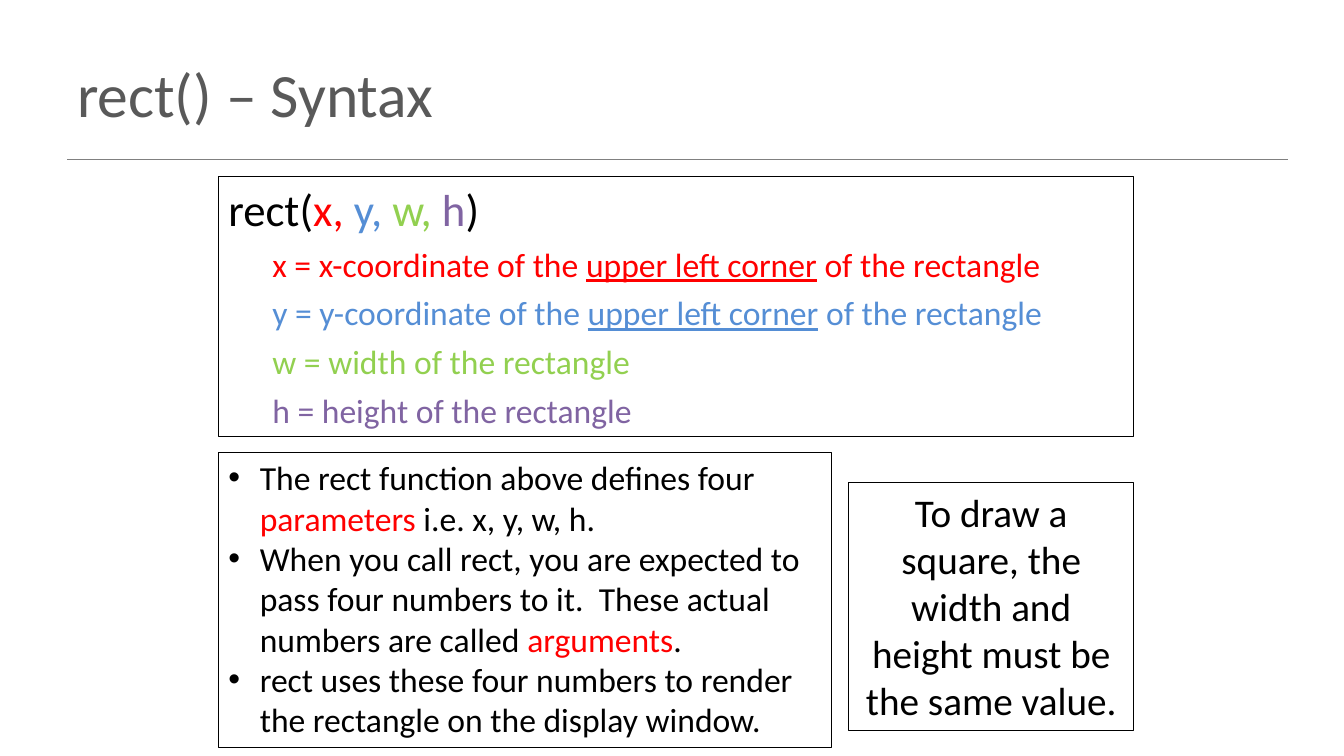
from dataclasses import dataclass

from lxml import etree
from pptx import Presentation
from pptx import util as u
from pptx.dml import color
from pptx.enum import shapes, text
from pptx.oxml import ns

Pt = u.Pt


@dataclass(frozen=True)
class Theme:
    font: str = "Calibri"
    ink: str = "000000"
    heading: str = "595959"
    rule: str = "808080"
    red: str = "FF0000"
    blue: str = "558ED5"
    green: str = "92D050"
    purple: str = "8064A2"
    title_size: int = 44
    syntax_size: int = 32
    square_size: int = 28
    detail_size: int = 24


THEME = Theme()


def apply_format(target, values):
    for attribute, value in values.items():
        setattr(target, attribute, value)


def add_paragraph(frame, runs, size, first=False, indent=0, bullet=None, **layout):
    """Each run is (words, colour) or (words, colour, underlined)."""
    paragraph = frame.paragraphs[0] if first else frame.add_paragraph()
    apply_format(paragraph, layout)
    properties = paragraph._p.get_or_add_pPr()
    if indent:
        properties.set("marL", str(Pt(indent)))
        properties.set("indent", str(-Pt(indent) if bullet else 0))
    if bullet:
        etree.SubElement(properties, ns.qn("a:buFont"), typeface="Arial")
        etree.SubElement(properties, ns.qn("a:buChar"), char=bullet)
    for words, colour, *underlined in runs:
        run = paragraph.add_run()
        run.text = words
        apply_format(run.font, {"name": THEME.font, "size": Pt(size),
                                "underline": bool(underlined)})
        run.font.color.rgb = color.RGBColor.from_string(colour)


def add_panel(slide, left, top, width, height):
    """Outlined, unfilled box; returns its text frame."""
    panel = slide.shapes.add_shape(shapes.MSO_SHAPE.RECTANGLE, Pt(left), Pt(top),
                                   Pt(width), Pt(height))
    panel.shadow.inherit = False
    panel.fill.background()
    panel.line.color.rgb = color.RGBColor.from_string(THEME.ink)
    panel.line.width = Pt(0.75)
    apply_format(panel.text_frame, {"word_wrap": True,
                                    "vertical_anchor": text.MSO_ANCHOR.TOP})
    return panel.text_frame


def add_heading(slide, words):
    heading = slide.shapes.add_textbox(Pt(48), Pt(21.6), Pt(864), Pt(90)).text_frame
    apply_format(heading, {"word_wrap": True,
                           "vertical_anchor": text.MSO_ANCHOR.MIDDLE})
    add_paragraph(heading, [(words, THEME.heading)], THEME.title_size, first=True)


def add_rule(slide, left, right, y):
    rule = slide.shapes.add_connector(shapes.MSO_CONNECTOR.STRAIGHT,
                                      Pt(left), Pt(y), Pt(right), Pt(y))
    rule.line.color.rgb = color.RGBColor.from_string(THEME.rule)
    rule.line.width = Pt(1)
    etree.SubElement(rule._element.spPr, ns.qn("a:effectLst"))


def add_syntax(slide):
    syntax = add_panel(slide, 156, 126, 654, 186)
    signature = [("rect(", THEME.ink), ("x, ", THEME.red), ("y, ", THEME.blue),
                 ("w, ", THEME.green), ("h", THEME.purple), (")", THEME.ink)]
    add_paragraph(syntax, signature, THEME.syntax_size, first=True,
                  alignment=text.PP_ALIGN.LEFT, space_before=Pt(6))

    meanings = [[(f"{axis} = {axis}-coordinate of the ", colour),
                 ("upper left corner", colour, True),
                 (" of the rectangle", colour)]
                for axis, colour in (("x", THEME.red), ("y", THEME.blue))]
    meanings += [[("w = width of the rectangle", THEME.green)],
                 [("h = height of the rectangle", THEME.purple)]]
    for meaning in meanings:
        add_paragraph(syntax, meaning, THEME.detail_size, indent=31.5, level=1,
                      alignment=text.PP_ALIGN.LEFT, space_before=Pt(6))


def add_square_tip(slide):
    tip = add_panel(slide, 606, 345, 204, 177)
    add_paragraph(tip, [("To draw a square, the width and height must be "
                         "the same value.", THEME.ink)],
                  THEME.square_size, first=True, alignment=text.PP_ALIGN.CENTER)


def add_terms(slide):
    terms = add_panel(slide, 156, 323, 438, 211)
    points = [
        [("The rect function above defines four ", THEME.ink),
         ("parameters", THEME.red), (" i.e. x, y, w, h.", THEME.ink)],
        [("When you call rect, you are expected to pass four numbers to it.  "
          "These actual numbers are called ", THEME.ink),
         ("arguments", THEME.red), (".", THEME.ink)],
        [("rect uses these four numbers to render the rectangle on the "
          "display window.", THEME.ink)],
    ]
    for index, point in enumerate(points):
        add_paragraph(terms, point, THEME.detail_size, first=index == 0,
                      indent=22.5, bullet="•", alignment=text.PP_ALIGN.LEFT)


def main():
    deck = Presentation()
    apply_format(deck, {"slide_width": Pt(960), "slide_height": Pt(540)})
    slide = deck.slides.add_slide(deck.slide_layouts[6])

    # Heading and its rule
    add_rule(slide, 48, 920, 114)
    add_heading(slide, "rect() – Syntax")

    # Syntax and explanations
    add_syntax(slide)
    add_square_tip(slide)
    add_terms(slide)

    deck.save("out.pptx")


if __name__ == "__main__":
    main()
